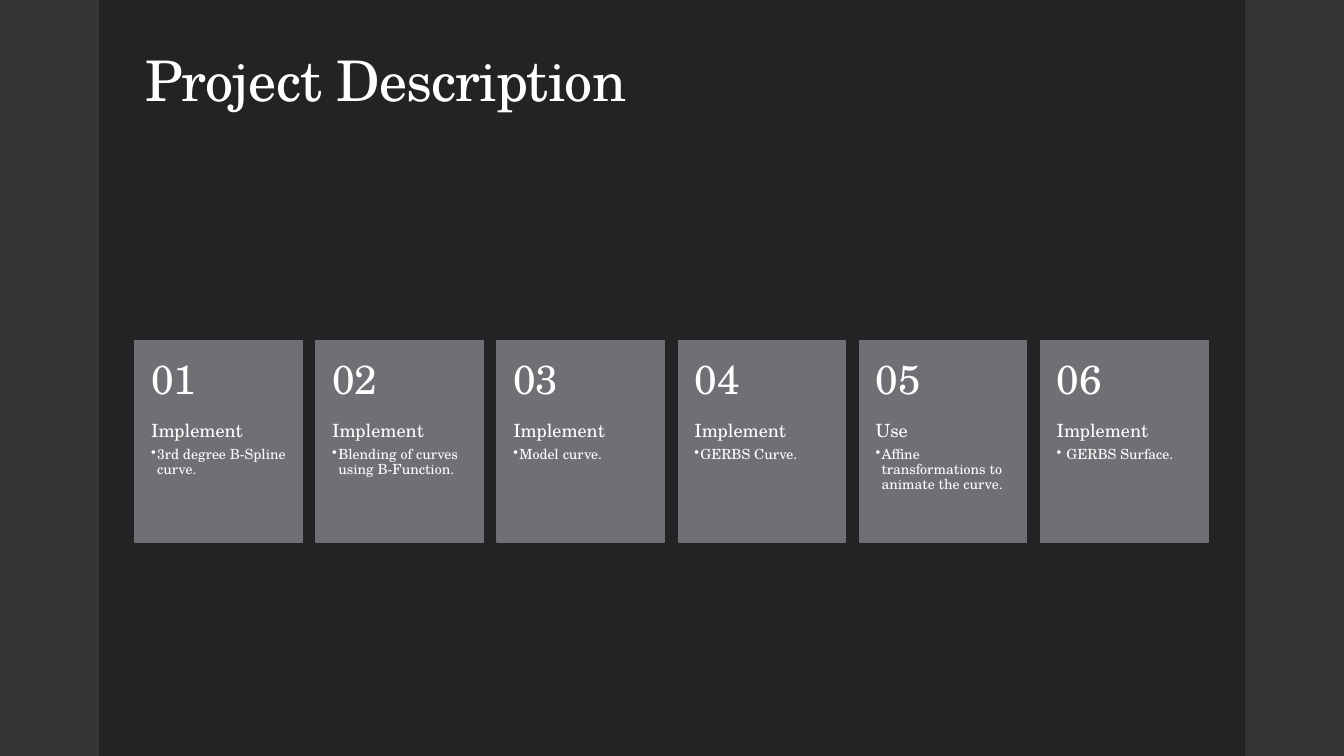
from lxml import etree
from pptx import Presentation
from pptx import util as u
from pptx.dml.color import RGBColor
from pptx.enum import shapes, text
from pptx.oxml import ns


def color(value):
    return RGBColor.from_string(value)


class SlideBuilder:
    font_name = "TeX Gyre Schola"
    text_color = "FFFFFF"
    panel_color = "353537"
    stage_color = "232325"
    card_color = "6F6F74"

    def __init__(self, slide):
        self.slide = slide

    def rectangle(self, left, top, width, height, fill, line_width=None):
        shape = self.slide.shapes.add_shape(
            shapes.MSO_SHAPE.RECTANGLE,
            u.Inches(left), u.Inches(top), u.Inches(width), u.Inches(height))
        shape.shadow.inherit = False
        shape.fill.solid()
        shape.fill.fore_color.rgb = color(fill)
        if line_width is None:
            shape.line.fill.background()
        else:
            shape.line.color.rgb = color(fill)
            shape.line.width = u.Pt(line_width)

    def text_box(self, left, top, width, height, insets, anchor):
        shape = self.slide.shapes.add_textbox(
            u.Inches(left), u.Inches(top), u.Inches(width), u.Inches(height))
        frame = shape.text_frame
        frame.word_wrap = True
        frame.vertical_anchor = anchor
        side, above, below = insets
        frame.margin_left = frame.margin_right = u.Inches(side)
        frame.margin_top = u.Inches(above)
        frame.margin_bottom = u.Inches(below)
        return frame

    def fill_paragraph(self, paragraph, content, size, space_after=0):
        run = paragraph.add_run()
        run.text = content
        paragraph.line_spacing = 0.9
        paragraph.space_after = u.Pt(space_after)
        paragraph.font.name = self.font_name
        paragraph.font.size = u.Pt(size)
        paragraph.font.color.rgb = color(self.text_color)
        return run

    def bullet(self, paragraph, indent):
        properties = paragraph._p.get_or_add_pPr()
        properties.set("marL", str(u.Inches(indent)))
        properties.set("indent", str(-u.Inches(indent)))
        mark = etree.Element(ns.qn("a:buChar"), char="•")
        properties.find(ns.qn("a:defRPr")).addprevious(mark)

    def title(self, content):
        frame = self.text_box(1.34, 0.35, 10.64, 0.96, (0.1, 0.05, 0.05),
                              text.MSO_ANCHOR.MIDDLE)
        run = self.fill_paragraph(frame.paragraphs[0], content, 40)
        run._r.get_or_add_rPr().set("spc", "-50")

    def card(self, left, number, heading, detail):
        top, width, height, number_height = 3.38, 1.66, 2, 0.8
        self.rectangle(left, top, width, height, self.card_color, 1.1)
        body = self.text_box(left, top + number_height, width,
                             height - number_height, (0.16, 0, 0.36),
                             text.MSO_ANCHOR.TOP)
        self.fill_paragraph(body.paragraphs[0], heading, 13, 4.5)
        paragraph = body.add_paragraph()
        paragraph.level = 1
        self.fill_paragraph(paragraph, detail, 10, 1.5)
        self.bullet(paragraph, 0.06)
        label = self.text_box(left, top, width, number_height,
                              (0.16, 0.18, 0.18), text.MSO_ANCHOR.MIDDLE)
        self.fill_paragraph(label.paragraphs[0], f"{number:02d}", 29)


def main():
    presentation = Presentation()
    presentation.slide_width = u.Inches(13.33)
    presentation.slide_height = u.Inches(7.5)
    builder = SlideBuilder(
        presentation.slides.add_slide(presentation.slide_layouts[6]))

    for left, width, fill in (
            (12.35, 0.98, builder.panel_color),
            (0.98, 11.37, builder.stage_color),
            (0, 0.98, builder.panel_color)):
        builder.rectangle(left, 0, width, 7.5, fill)

    builder.title("Project Description")

    steps = (
        ("Implement", "3rd degree B-Spline curve."),
        ("Implement", "Blending of curves using B-Function."),
        ("Implement", "Model curve."),
        ("Implement", "GERBS Curve."),
        ("Use", "Affine transformations to animate the curve."),
        ("Implement", " GERBS Surface."),
    )
    first_left, last_left = 1.34, 10.32
    pitch = (last_left - first_left) / (len(steps) - 1)
    for index, (heading, detail) in enumerate(steps):
        builder.card(first_left + index * pitch, index + 1, heading, detail)

    presentation.save("out.pptx")


if __name__ == "__main__":
    main()
